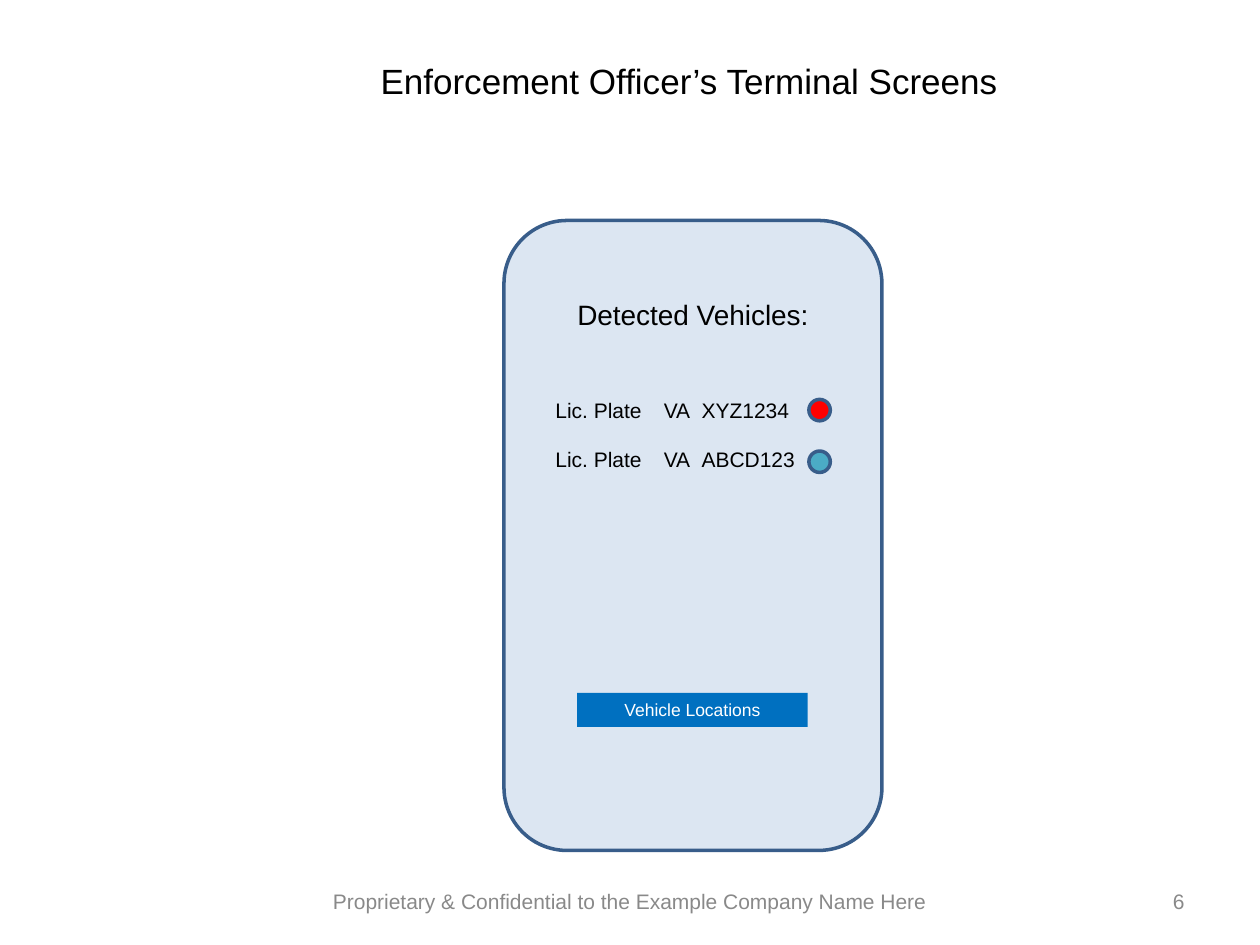
from lxml.etree import SubElement
from pptx import Presentation
from pptx.dml.color import RGBColor
from pptx.enum.shapes import MSO_SHAPE
from pptx.enum.text import MSO_ANCHOR, PP_ALIGN
from pptx.oxml.ns import qn
from pptx.util import Inches, Pt

BLACK = RGBColor(0x00, 0x00, 0x00)
WHITE = RGBColor(0xFF, 0xFF, 0xFF)
GRAY = RGBColor(0x89, 0x89, 0x89)
SCREEN = RGBColor(0xDC, 0xE6, 0xF2)
OUTLINE = RGBColor(0x38, 0x5D, 0x8A)
BUTTON = RGBColor(0x00, 0x70, 0xC0)
RED = RGBColor(0xFF, 0x00, 0x00)
TEAL = RGBColor(0x4B, 0xAC, 0xC6)

TITLE = "Enforcement Officer’s Terminal Screens"
HEADING = "Detected Vehicles:"
VEHICLES = [("Lic. Plate", "VA", "XYZ1234", RED), ("Lic. Plate", "VA", "ABCD123", TEAL)]
ACTION = "Vehicle Locations"
FOOTER = "Proprietary & Confidential to the Example Company Name Here"
PAGE = "6"

PHONE = (4, 1.75, 3, 5)
LIGHT_SIZE = 0.17
LIGHT_LEFT, LIGHT_TOP, LIGHT_STEP = 6.42, 3.17, 0.41
PLATE_TABS = (0.86, 1.16)
HEADING_GAP, PLATE_GAP = 38, 14


def inches(box):
    return [Inches(length) for length in box]


def write(paragraph, text, size, color, align=PP_ALIGN.LEFT):
    paragraph.text = text
    paragraph.alignment = align
    paragraph.font.name = "Arial"
    paragraph.font.size = Pt(size)
    paragraph.font.color.rgb = color


def add_frame(slide, box, anchor=MSO_ANCHOR.TOP):
    frame = slide.shapes.add_textbox(*inches(box)).text_frame
    frame.word_wrap = True
    frame.vertical_anchor = anchor
    return frame


def add_panel(slide, preset, box, fill, outlined=True):
    panel = slide.shapes.add_shape(preset, *inches(box))
    panel.shadow.inherit = False
    panel.fill.solid()
    panel.fill.fore_color.rgb = fill
    if outlined:
        panel.line.color.rgb = OUTLINE
        panel.line.width = Pt(2)
    else:
        panel.line.fill.background()
    return panel


def set_tabs(paragraph, stops):
    tab_list = SubElement(paragraph._p.get_or_add_pPr(), qn("a:tabLst"))
    for stop in stops:
        SubElement(tab_list, qn("a:tab"), pos=str(Inches(stop)), algn="l")


def add_title(slide):
    title = slide.shapes.title
    title.left, title.top, title.width, title.height = inches((2.92, 0.42, 5.75, 0.44))
    title.text_frame.vertical_anchor = MSO_ANCHOR.TOP
    write(title.text_frame.paragraphs[0], TITLE, 20, BLACK)


def add_terminal(slide):
    add_panel(slide, MSO_SHAPE.ROUNDED_RECTANGLE, PHONE, SCREEN)
    listing = add_frame(slide, (4.31, 2.31, 2.38, 2.24))
    write(listing.paragraphs[0], HEADING, 16, BLACK, PP_ALIGN.CENTER)
    for row, (label, state, plate, status) in enumerate(VEHICLES):
        vehicle = listing.add_paragraph()
        set_tabs(vehicle, PLATE_TABS)
        vehicle.space_before = Pt(PLATE_GAP if row else HEADING_GAP)
        write(vehicle, "\t".join((label, state, plate)), 12, BLACK)
        light = (LIGHT_LEFT, LIGHT_TOP + row * LIGHT_STEP, LIGHT_SIZE, LIGHT_SIZE)
        add_panel(slide, MSO_SHAPE.OVAL, light, status)
    button = add_panel(slide, MSO_SHAPE.RECTANGLE, (4.58, 5.5, 1.83, 0.27), BUTTON, outlined=False)
    write(button.text_frame.paragraphs[0], ACTION, 10, WHITE, PP_ALIGN.CENTER)


def add_footer(slide):
    for text, left, width, align in (
        (FOOTER, 2, 6, PP_ALIGN.CENTER),
        (PAGE, 7.17, 2.33, PP_ALIGN.RIGHT),
    ):
        frame = add_frame(slide, (left, 6.95, width, 0.4), MSO_ANCHOR.MIDDLE)
        write(frame.paragraphs[0], text, 12, GRAY, align)


def main():
    """Build the enforcement officer's terminal slide."""
    deck = Presentation()
    deck.slide_width, deck.slide_height = Inches(10), Inches(7.5)
    slide = deck.slides.add_slide(deck.slide_layouts.get_by_name("Title Only"))
    add_title(slide)
    add_terminal(slide)
    add_footer(slide)
    deck.save("out.pptx")


if __name__ == "__main__":
    main()
